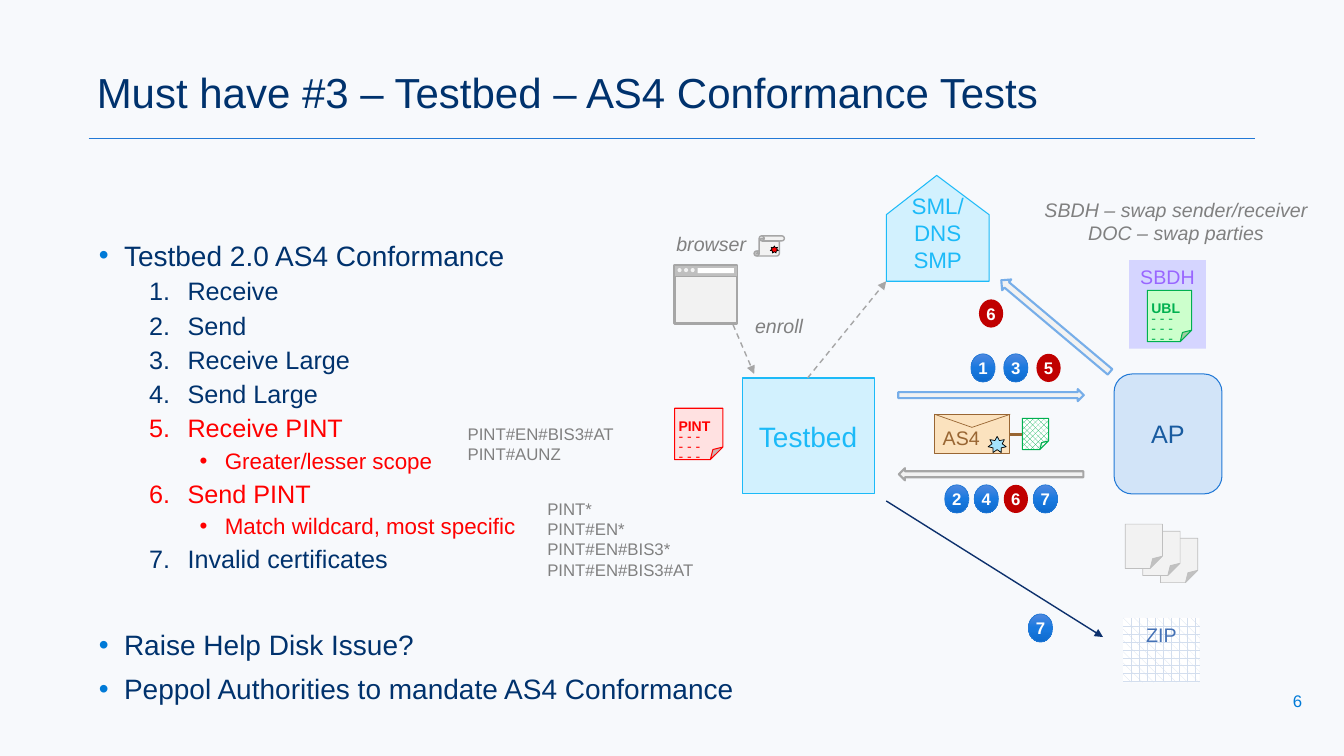
from collections import namedtuple
from typing import Any

from lxml.etree import SubElement
from pptx import Presentation
from pptx.dml.color import RGBColor
from pptx.enum.dml import MSO_LINE, MSO_PATTERN as Pattern
from pptx.enum.shapes import MSO_CONNECTOR, MSO_SHAPE as Geometry
from pptx.enum.text import MSO_ANCHOR as Anchor, MSO_AUTO_SIZE, PP_ALIGN as Align
from pptx.oxml.ns import qn
from pptx.util import Inches, Pt

# Colours
WHITE, BLACK, PAGE = RGBColor(255, 255, 255), RGBColor(0, 0, 0), RGBColor(0xF7, 0xF9, 0xFC)
NAVY, ARROW_NAVY = RGBColor(0, 0x32, 0x6D), RGBColor(0x0D, 0x31, 0x6D)
BULLET, BLUE, ARROW_BLUE = RGBColor(0, 0x7A, 0xD7), RGBColor(0x22, 0x79, 0xD6), RGBColor(0x77, 0xAE, 0xE9)
CYAN, CYAN_PALE, STAR_BLUE = RGBColor(0x1C, 0xBA, 0xF8), RGBColor(0xD2, 0xF1, 0xFE), RGBColor(0xA4, 0xE3, 0xFC)
AP_FILL, AP_TEXT = RGBColor(0xD2, 0xE4, 0xF8), RGBColor(0x19, 0x5B, 0xA0)
VIOLET, VIOLET_PALE = RGBColor(0x99, 0x66, 0xFF), RGBColor(0xD5, 0xD5, 0xFF)
GREEN, GREEN_PALE = RGBColor(0, 0xB0, 0x50), RGBColor(0xCC, 0xFF, 0xCC)
RED, RED_PALE, DARK_RED = RGBColor(255, 0, 0), RGBColor(255, 0xE1, 0xE1), RGBColor(0xC0, 0, 0)
BROWN, ORANGE = RGBColor(0x99, 0x66, 0x33), RGBColor(0xFF, 0xCC, 0x81)
ZIP_GRID, ZIP_TEXT = RGBColor(0xD3, 0xDE, 0xEE), RGBColor(0x44, 0x71, 0xB5)
GRAY, MID_GRAY = RGBColor(0x80, 0x80, 0x80), RGBColor(0xA6, 0xA6, 0xA6)
SILVER, LIGHT_GRAY = RGBColor(0xBF, 0xBF, 0xBF), RGBColor(0xF2, 0xF2, 0xF2)
BADGE_STOPS = {0: RGBColor(0x4F, 0x88, 0xDF), 50: RGBColor(0x19, 0x79, 0xDF), 100: RGBColor(0x0E, 0x6B, 0xCE)}

# Kinds of element
Label = namedtuple("Label", "text size color bold italic align anchor wrap insets spacing", defaults=(
    False, False, Align.CENTER, Anchor.MIDDLE, True, (0.1, 0.05, 0.1, 0.05), 1.0))
Box = namedtuple("Box", "geometry at fill line weight label rotation adjust pattern opacity", defaults=(
    None, 0.75, None, 0, None, None, 100))
Link = namedtuple("Link", "start end color weight dashed arrow", defaults=(False, False))
BadgeRow = namedtuple("BadgeRow", "left top step numbers")
Item = namedtuple("Item", "text level color before", defaults=(0, NAVY, 5))
ListLevel = namedtuple("ListLevel", "size indent hanging numbered")

LEVELS = [ListLevel(20, 0.25, 0.25, False), ListLevel(18, 0.88, 0.38, True), ListLevel(16, 1.25, 0.25, False)]
ITEMS = [
    Item("Testbed 2.0 AS4 Conformance", before=10),
    Item("Receive", 1), Item("Send", 1), Item("Receive Large", 1), Item("Send Large", 1),
    Item("Receive PINT", 1, RED), Item("Greater/lesser scope", 2, RED),
    Item("Send PINT", 1, RED), Item("Match wildcard, most specific", 2, RED),
    Item("Invalid certificates", 1), Item("Raise Help Disk Issue?", before=41),
    Item("Peppol Authorities to mandate AS4 Conformance", before=10),
]

def document(name: str, at: tuple, fill: RGBColor, color: RGBColor) -> Box:
    label = Label("\n".join([name] + ["- - -"] * 3), 10, color, True, align=Align.LEFT,
                  anchor=Anchor.TOP, insets=(0.04, 0.15, 0, 0), spacing=0.6)
    return Box(Geometry.FOLDED_CORNER, at, fill, color, label=label, adjust=0.26)

BOXES = [
    # Access point and its documents
    Box(Geometry.ROUNDED_RECTANGLE, (11.05, 3.71, 1.07, 1.19), AP_FILL, BLUE, label=Label("AP", 18, AP_TEXT)),
    Box(Geometry.RECTANGLE, (11.2, 2.58, 0.76, 0.88), VIOLET_PALE,
        label=Label("SBDH", 14, VIOLET, anchor=Anchor.TOP)),
    document("UBL", (11.38, 2.88, 0.44, 0.51), GREEN_PALE, GREEN),
    Box(Geometry.RECTANGLE, (11.14, 6.13, 0.76, 0.64), ZIP_GRID, pattern=Pattern.PLAID,
        label=Label("ZIP", 14, ZIP_TEXT, anchor=Anchor.TOP)),
    *[Box(Geometry.FOLDED_CORNER, (11.51 - 0.175 * i, 5.34 - 0.07 * i, 0.37, 0.44),
          LIGHT_GRAY, SILVER, 0.5, adjust=0.33) for i in range(3)],
    # AS4 envelope
    Box(Geometry.FOLDED_CORNER, (10.14, 4.15, 0.26, 0.31), GREEN, GREEN, adjust=0.33,
        pattern=Pattern.OUTLINED_DIAMOND),
    Box(Geometry.RECTANGLE, (9.27, 4.11, 0.74, 0.39), ORANGE, BROWN, 0.5, opacity=50, label=Label(
        "AS4", 14, BROWN, align=Align.LEFT, anchor=Anchor.BOTTOM, insets=(0.08, 0.04, 0.08, 0.04))),
    Box(Geometry.STAR_7_POINT, (9.8, 4.33, 0.18, 0.16), STAR_BLUE, BLACK, 0.5, adjust=0.28),
    # Testbed and its document
    Box(Geometry.RECTANGLE, (7.36, 3.75, 1.31, 1.15), CYAN_PALE, CYAN, label=Label("Testbed", 20, CYAN, wrap=False)),
    document("PINT", (6.69, 4.05, 0.48, 0.51), RED_PALE, RED),
    # Block arrows
    Box(Geometry.DOWN_ARROW, (9.77, 3, 0.12, 1.84), LIGHT_GRAY, ARROW_BLUE, 1.5, rotation=270),
    Box(Geometry.DOWN_ARROW, (9.77, 3.79, 0.12, 1.83), LIGHT_GRAY, MID_GRAY, 1.5, rotation=90),
    Box(Geometry.DOWN_ARROW, (10.4, 2.53, 0.14, 1.41), LIGHT_GRAY, ARROW_BLUE, 1.5, rotation=130.1),
    # Browser window and certificate
    Box(Geometry.RECTANGLE, (6.69, 2.63, 0.62, 0.58), LIGHT_GRAY, MID_GRAY, 1.5),
    Box(Geometry.RECTANGLE, (6.69, 2.63, 0.62, 0.11), SILVER, MID_GRAY, 0.5),
    Box(Geometry.RECTANGLE, (6.92, 2.66, 0.36, 0.05), WHITE),
    *[Box(Geometry.OVAL, (6.72 + 0.065 * i, 2.66, 0.04, 0.04), LIGHT_GRAY) for i in range(3)],
    Box(Geometry.VERTICAL_SCROLL, (7.48, 2.34, 0.3, 0.2), LIGHT_GRAY, MID_GRAY, 1, adjust=0.25),
    Box(Geometry.STAR_7_POINT, (7.64, 2.44, 0.08, 0.07), RED, BLACK, 0.5, adjust=0.28),
]
LINKS = [
    Link((0.88, 1.37), (12.45, 1.37), BLUE, 0.5),
    Link((10.02, 4.11), (9.64, 4.24), BROWN, 0.5),
    Link((9.27, 4.11), (9.64, 4.24), BROWN, 0.5),
    Link((10.14, 4.31), (10.02, 4.31), BROWN, 2.25),
    Link((8.01, 3.75), (8.79, 2.79), MID_GRAY, 1, True, True),
    Link((7.27, 3.22), (7.48, 3.71), MID_GRAY, 1, True, True),
    Link((8.79, 4.97), (10.94, 6.32), ARROW_NAVY, 1, arrow=True),
]
BADGE_ROWS = [BadgeRow(9.71, 2.97, 0, "6"), BadgeRow(9.63, 3.51, 0.325, "135"),
              BadgeRow(9.37, 4.81, 0.293, "2467"), BadgeRow(10.2, 6.09, 0, "7")]
PINT_STEPS = "56"
NOTE = {"color": GRAY, "anchor": Anchor.TOP, "wrap": False}
LEFT_NOTE = {**NOTE, "align": Align.LEFT}
NOTES = [
    ((10.25, 1.91, 2.83, 0.57), Label("SBDH – swap sender/receiver\nDOC – swap parties", 14, italic=True, **NOTE)),
    ((7.39, 3.07, 0.68, 0.34), Label("enroll", 14, italic=True, **LEFT_NOTE)),
    ((6.61, 2.25, 0.9, 0.34), Label("browser", 14, italic=True, **LEFT_NOTE)),
    ((4.54, 4.15, 1.67, 0.5), Label("PINT#EN#BIS3#AT\nPINT#AUNZ", 12, **LEFT_NOTE)),
    ((5.33, 4.9, 1.67, 0.91), Label("PINT*\nPINT#EN*\nPINT#EN#BIS3*\nPINT#EN#BIS3#AT", 12, **LEFT_NOTE)),
    ((12.65, 6.75, 0.44, 0.4), Label("6", 12, BULLET)),
]

def set_values(target: Any, values: dict[str, Any]) -> None:
    for name, value in values.items():
        setattr(target, name, value)

def place(shape: Any, at: tuple) -> None:
    set_values(shape, dict(zip(("left", "top", "width", "height"), map(Inches, at))))

def write(shape: Any, label: Label) -> None:
    margins = ("margin_left", "margin_top", "margin_right", "margin_bottom")
    set_values(shape.text_frame, {
        "text": label.text, "word_wrap": label.wrap, "auto_size": MSO_AUTO_SIZE.NONE,
        "vertical_anchor": label.anchor, **dict(zip(margins, map(Inches, label.insets)))})
    for paragraph in shape.text_frame.paragraphs:
        set_values(paragraph, {"alignment": label.align, "line_spacing": label.spacing})
        for run in paragraph.runs:
            set_values(run.font, {"name": "Arial", "size": Pt(label.size), "italic": label.italic,
                                  "bold": label.bold and run.text != "- - -"})
            run.font.color.rgb = label.color

def paint(shape: Any, box: Box) -> None:
    shape.shadow.inherit = False
    if box.pattern is not None:
        shape.fill.patterned()
        shape.fill.pattern = box.pattern
        shape.fill.back_color.rgb = WHITE
    else:
        shape.fill.solid()
    shape.fill.fore_color.rgb = box.fill
    if box.opacity < 100:
        color = shape._element.spPr.find(qn("a:solidFill")).find(qn("a:srgbClr"))
        SubElement(color, qn("a:alpha"), val=str(box.opacity * 1000))
    if box.line is None:
        shape.line.fill.background()
    else:
        shape.line.color.rgb, shape.line.width = box.line, Pt(box.weight)
    if box.label:
        write(shape, box.label)

def draw_box(slide: Any, box: Box) -> Any:
    shape = slide.shapes.add_shape(box.geometry, *map(Inches, box.at))
    shape.rotation = box.rotation
    if box.adjust is not None:
        guides = shape._element.spPr.find(qn("a:prstGeom")).get_or_add_avLst()
        guides.clear()
        SubElement(guides, qn("a:gd"), name="adj", fmla=f"val {round(box.adjust * 100000)}")
    paint(shape, box)
    return shape

def draw_house(slide: Any) -> None:
    start, *corners = [(Inches(x), Inches(y)) for x, y in
                       [(8.79, 2.13), (9.29, 1.74), (9.81, 2.13), (9.81, 2.79), (8.79, 2.79)]]
    builder = slide.shapes.build_freeform(*start)
    builder.add_line_segments(corners, close=True)
    label = Label("SML/DNS\nSMP", 16, CYAN, anchor=Anchor.BOTTOM, insets=(0.2, 0.16, 0.2, 0.08))
    paint(builder.convert_to_shape(), Box(None, None, CYAN_PALE, CYAN, label=label))

def draw_link(slide: Any, link: Link) -> None:
    connector = slide.shapes.add_connector(MSO_CONNECTOR.STRAIGHT, *map(Inches, link.start + link.end))
    connector.line.color.rgb, connector.line.width = link.color, Pt(link.weight)
    if link.dashed:
        connector.line.dash_style = MSO_LINE.DASH
    if link.arrow:
        SubElement(connector._element.spPr.find(qn("a:ln")), qn("a:tailEnd"), type="triangle")
    SubElement(connector._element.spPr, qn("a:effectLst"))

def draw_badges(slide: Any, row: BadgeRow) -> None:
    for index, number in enumerate(row.numbers):
        line = None if number in PINT_STEPS else BLUE
        label = Label(number, 12, WHITE, True, wrap=False, insets=(0.04, 0, 0.04, 0))
        at = (row.left + index * row.step, row.top, 0.24, 0.28)
        shape = draw_box(slide, Box(Geometry.OVAL, at, DARK_RED, line, 0.5, label))
        if line is not None:
            shape.fill.gradient()
            shape.fill.gradient_angle = 270
            stops = shape._element.spPr.find(qn("a:gradFill")).find(qn("a:gsLst"))
            stops.clear()
            for position, color in BADGE_STOPS.items():
                stop = SubElement(stops, qn("a:gs"), pos=str(position * 1000))
                SubElement(stop, qn("a:srgbClr"), val=str(color))

def fill_list(body: Any) -> None:
    write(body, Label("\n".join(item.text for item in ITEMS), 18, NAVY, align=Align.LEFT, anchor=Anchor.TOP, spacing=0.9))
    for paragraph, item in zip(body.text_frame.paragraphs, ITEMS):
        level, font = LEVELS[item.level], paragraph.runs[0].font
        set_values(paragraph, {"level": item.level, "space_before": Pt(item.before)})
        font.size, font.color.rgb = Pt(level.size), item.color
        properties = paragraph._p.get_or_add_pPr()
        properties.set("marL", str(Inches(level.indent)))
        properties.set("indent", str(-Inches(level.hanging)))
        bullet_color = SubElement(properties, qn("a:buClr"))
        SubElement(bullet_color, qn("a:srgbClr"), val=str(item.color if item.level else BULLET))
        SubElement(properties, qn("a:buFont"), typeface="Arial")
        kind, values = ("a:buAutoNum", {"type": "arabicPeriod"}) if level.numbered else ("a:buChar", {"char": "•"})
        SubElement(properties, qn(kind), values)

# Slide with title and list
presentation = Presentation()
presentation.slide_width, presentation.slide_height = Inches(13.33), Inches(7.5)
slide = presentation.slides.add_slide(presentation.slide_layouts[1])
slide.background.fill.solid()
slide.background.fill.fore_color.rgb = PAGE
title, body = slide.shapes.title, slide.placeholders[1]
place(title, (0.86, 0.64, 10.2, 0.61))
write(title, Label("Must have #3 – Testbed – AS4 Conformance Tests", 30, NAVY, align=Align.LEFT, spacing=0.9))
place(body, (0.88, 2.35, 11.57, 3.73))
fill_list(body)

# Diagram
draw_house(slide)
for draw, elements in ((draw_box, BOXES), (draw_link, LINKS), (draw_badges, BADGE_ROWS)):
    for element in elements:
        draw(slide, element)
for at, label in NOTES:
    write(slide.shapes.add_textbox(*map(Inches, at)), label)
presentation.save("out.pptx")
